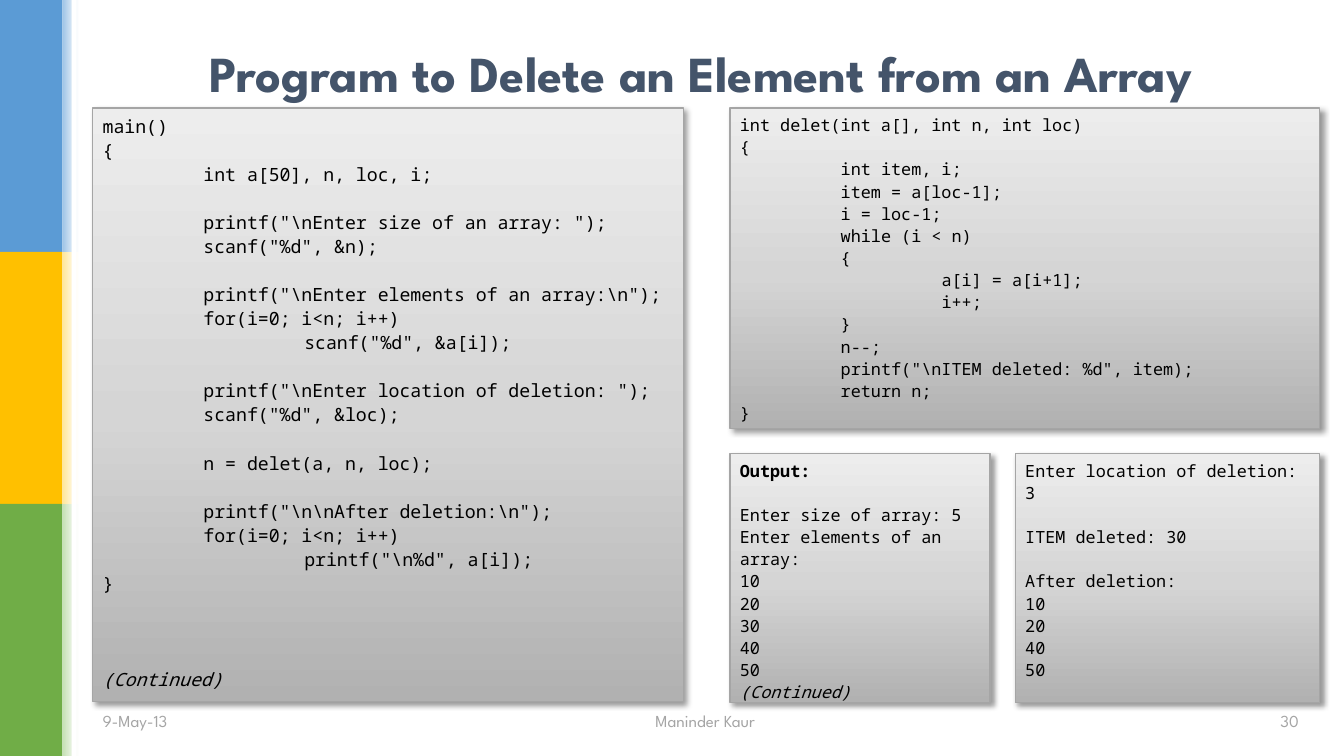
from dataclasses import dataclass

from lxml.etree import SubElement
from pptx import Presentation
from pptx.dml.color import RGBColor
from pptx.enum.shapes import MSO_SHAPE
from pptx.enum.text import MSO_ANCHOR, PP_ALIGN
from pptx.oxml.ns import qn
from pptx.shapes.autoshape import Shape
from pptx.slide import Slide
from pptx.text.text import _Paragraph as Paragraph
from pptx.util import Inches, Pt

BLACK = RGBColor(0x00, 0x00, 0x00)
WHITE = RGBColor(0xFF, 0xFF, 0xFF)
SLATE = RGBColor(0x44, 0x54, 0x6A)
GRAY = RGBColor(0xA5, 0xA5, 0xA5)
SILVER_LIGHT = RGBColor(0xED, 0xED, 0xED)
SILVER_MID = RGBColor(0xD5, 0xD5, 0xD5)
SILVER_DARK = RGBColor(0xB1, 0xB1, 0xB1)
BLUE = RGBColor(0x5B, 0x9B, 0xD5)
BLUE_PALE = RGBColor(0x9D, 0xC3, 0xE6)
GOLD = RGBColor(0xFF, 0xC0, 0x00)
GOLD_PALE = RGBColor(0xFF, 0xE6, 0x99)
GREEN = RGBColor(0x70, 0xAD, 0x47)
GREEN_PALE = RGBColor(0xC5, 0xE0, 0xB4)

HEADING_FONT = "League Spartan"
CODE_FONT = "Noto Sans Mono"
LINE_PITCH = 1.32  # height of a code line relative to its font size
INDENT = "    "
TAB_STOPS = (1, 2)
SILVER_STOPS = [(0, SILVER_LIGHT), (52, SILVER_MID), (100, SILVER_DARK)]


@dataclass
class Panel:
    left: float
    top: float
    width: float
    height: float
    size: int
    content: str


@dataclass
class Label:
    left: float
    top: float
    width: float
    height: float
    content: str
    size: int
    color: RGBColor
    align: PP_ALIGN
    bold: bool = False


PANELS = [
    Panel(0.92, 1.07, 5.86, 5.89, 13, r"""main()
{
    int a[50], n, loc, i;

    printf("\nEnter size of an array: ");
    scanf("%d", &n);

    printf("\nEnter elements of an array:\n");
    for(i=0; i<n; i++)
        scanf("%d", &a[i]);

    printf("\nEnter location of deletion: ");
    scanf("%d", &loc);

    n = delet(a, n, loc);

    printf("\n\nAfter deletion:\n");
    for(i=0; i<n; i++)
        printf("\n%d", a[i]);
}



(Continued)"""),
    Panel(7.24, 1.07, 5.85, 3.18, 12, r"""int delet(int a[], int n, int loc)
{
    int item, i;
    item = a[loc-1];
    i = loc-1;
    while (i < n)
    {
        a[i] = a[i+1];
        i++;
    }
    n--;
    printf("\nITEM deleted: %d", item);
    return n;
}"""),
    Panel(7.24, 4.5, 2.58, 2.47, 12, """Output:

Enter size of array: 5
Enter elements of an array:
10
20
30
40
50
(Continued)"""),
    Panel(10.07, 4.5, 3.02, 2.47, 12, """Enter location of deletion: 3

ITEM deleted: 30

After deletion:
10
20
40
50"""),
]

LABELS = [
    Label(0.92, 0.17, 12.07, 1.09, "Program to Delete an Element from an Array",
          36, SLATE, PP_ALIGN.CENTER, True),
    Label(0.92, 6.95, 3.58, 0.4, "9-May-13", 12, GRAY, PP_ALIGN.LEFT),
    Label(5.41, 6.95, 3.17, 0.4, "Maninder Kaur", 12, GRAY, PP_ALIGN.CENTER),
    Label(9.4, 6.95, 3.58, 0.4, "30", 12, GRAY, PP_ALIGN.RIGHT),
]

BANDS = [(BLUE, BLUE_PALE), (GOLD, GOLD_PALE), (GREEN, GREEN_PALE)]
BAND_HEIGHT = 2.5


def add_block(slide: Slide, left: float, top: float, width: float, height: float) -> Shape:
    """Add a rectangle with neither outline nor shadow."""
    block = slide.shapes.add_shape(
        MSO_SHAPE.RECTANGLE, Inches(left), Inches(top), Inches(width), Inches(height))
    block.shadow.inherit = False
    block.line.fill.background()
    return block


def fill_solid(block: Shape, color: RGBColor) -> None:
    block.fill.solid()
    block.fill.fore_color.rgb = color


def fill_gradient(block: Shape, stops: list[tuple[int, RGBColor]], angle: int) -> None:
    """Fill with stops of (percent, colour); the angle runs counter-clockwise."""
    block.fill.gradient()
    block.fill.gradient_angle = angle
    stop_list = block.element.spPr.find(qn("a:gradFill")).find(qn("a:gsLst"))
    for default_stop in list(stop_list):
        stop_list.remove(default_stop)
    for percent, color in stops:
        stop = SubElement(stop_list, qn("a:gs"), pos=str(percent * 1000))
        SubElement(stop, qn("a:srgbClr"), val=str(color))


def cast_shadow(block: Shape) -> None:
    effects = block.element.spPr.find(qn("a:effectLst"))
    shadow = SubElement(effects, qn("a:outerShdw"), blurRad=str(Pt(4)), dist=str(Pt(3)),
                        dir=str(45 * 60000), algn="tl", rotWithShape="0")
    color = SubElement(shadow, qn("a:srgbClr"), val=str(BLACK))
    SubElement(color, qn("a:alpha"), val="40000")


def set_tab_stops(paragraph: Paragraph) -> None:
    tabs = SubElement(paragraph._p.get_or_add_pPr(), qn("a:tabLst"))
    for position in TAB_STOPS:
        SubElement(tabs, qn("a:tab"), pos=str(Inches(position)), algn="l")


def write(paragraph: Paragraph, content: str, color: RGBColor, **font_format: object) -> None:
    run = paragraph.add_run()
    run.text = content
    run.font.color.rgb = color
    for attribute, value in font_format.items():
        setattr(run.font, attribute, value)


def add_sidebar(slide: Slide) -> None:
    for row, (strong, pale) in enumerate(BANDS):
        top = row * BAND_HEIGHT
        fill_solid(add_block(slide, 0, top, 0.62, BAND_HEIGHT), strong)
        fade = add_block(slide, 0.62, top, 0.16, BAND_HEIGHT)
        fill_gradient(fade, [(0, pale), (100, WHITE)], 0)
    fill_solid(add_block(slide, 0.71, 0, 0.05, 7.5), WHITE)


def add_panel(slide: Slide, panel: Panel) -> None:
    """Draw a silver panel; each empty line becomes space before the next one."""
    block = add_block(slide, panel.left, panel.top, panel.width, panel.height)
    fill_gradient(block, SILVER_STOPS, 270)
    block.line.color.rgb = GRAY
    block.line.width = Pt(1)
    cast_shadow(block)
    frame = block.text_frame
    frame.word_wrap = True
    frame.vertical_anchor = MSO_ANCHOR.TOP
    gap = 0
    for number, line in enumerate(panel.content.split("\n")):
        if not line:
            gap += 1
            continue
        paragraph = frame.add_paragraph() if number else frame.paragraphs[0]
        paragraph.alignment = PP_ALIGN.LEFT
        paragraph.line_spacing = 1.1
        if gap:
            paragraph.space_before = Pt(round(gap * panel.size * LINE_PITCH, 1))
            gap = 0
        if line.startswith(INDENT):
            set_tab_stops(paragraph)
        write(paragraph, line.replace(INDENT, "\t"), BLACK, name=CODE_FONT, size=Pt(panel.size),
              bold=line == "Output:", italic=line == "(Continued)")


def add_label(slide: Slide, label: Label) -> None:
    frame = slide.shapes.add_textbox(Inches(label.left), Inches(label.top),
                                     Inches(label.width), Inches(label.height)).text_frame
    frame.word_wrap = True
    frame.vertical_anchor = MSO_ANCHOR.MIDDLE
    frame.paragraphs[0].alignment = label.align
    write(frame.paragraphs[0], label.content, label.color,
          name=HEADING_FONT, size=Pt(label.size), bold=label.bold)


def main() -> None:
    deck = Presentation()
    deck.slide_width, deck.slide_height = Inches(13.33), Inches(7.5)
    slide = deck.slides.add_slide(deck.slide_layouts[6])
    add_sidebar(slide)
    for panel in PANELS:
        add_panel(slide, panel)
    for label in LABELS:
        add_label(slide, label)
    deck.save("out.pptx")


if __name__ == "__main__":
    main()
